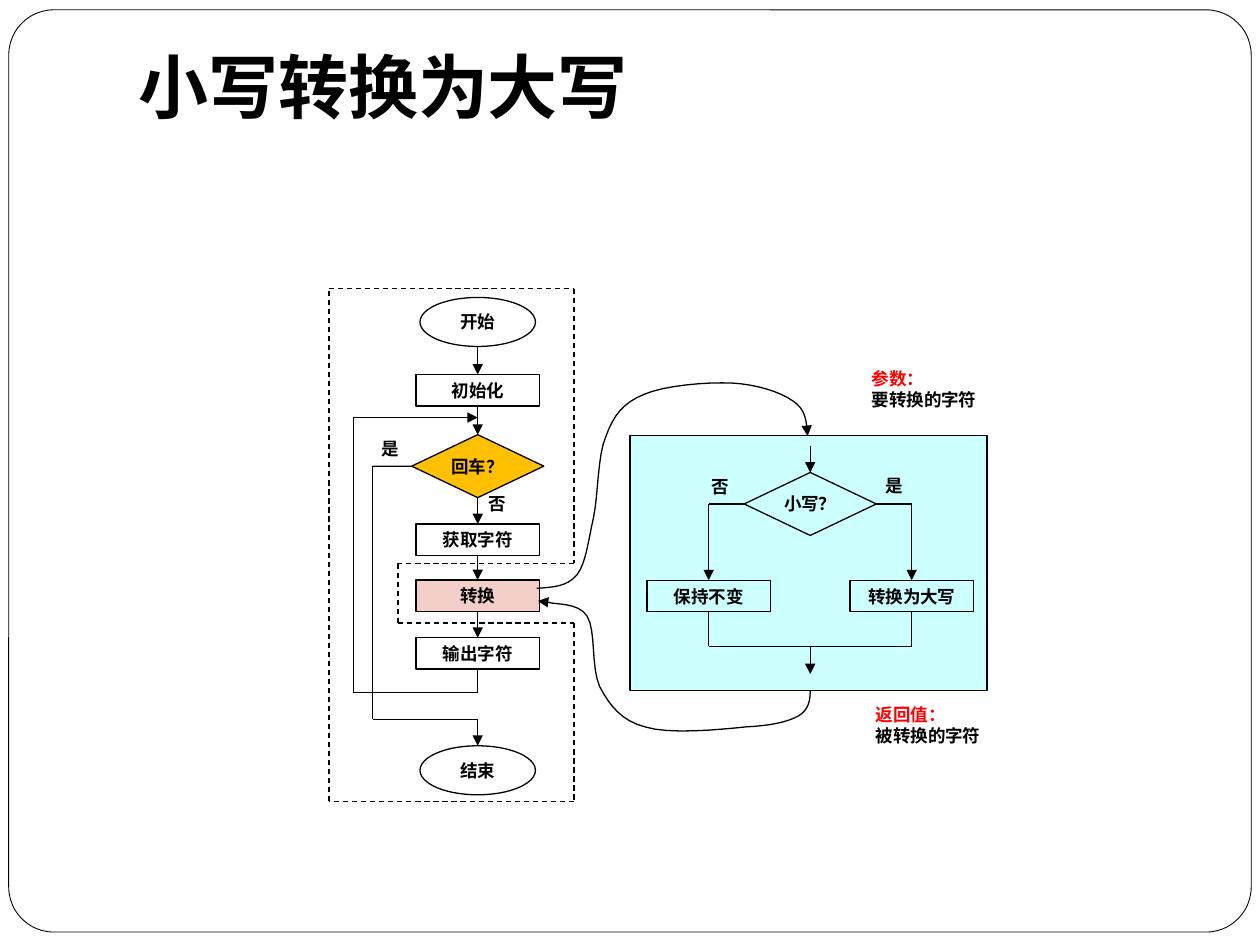
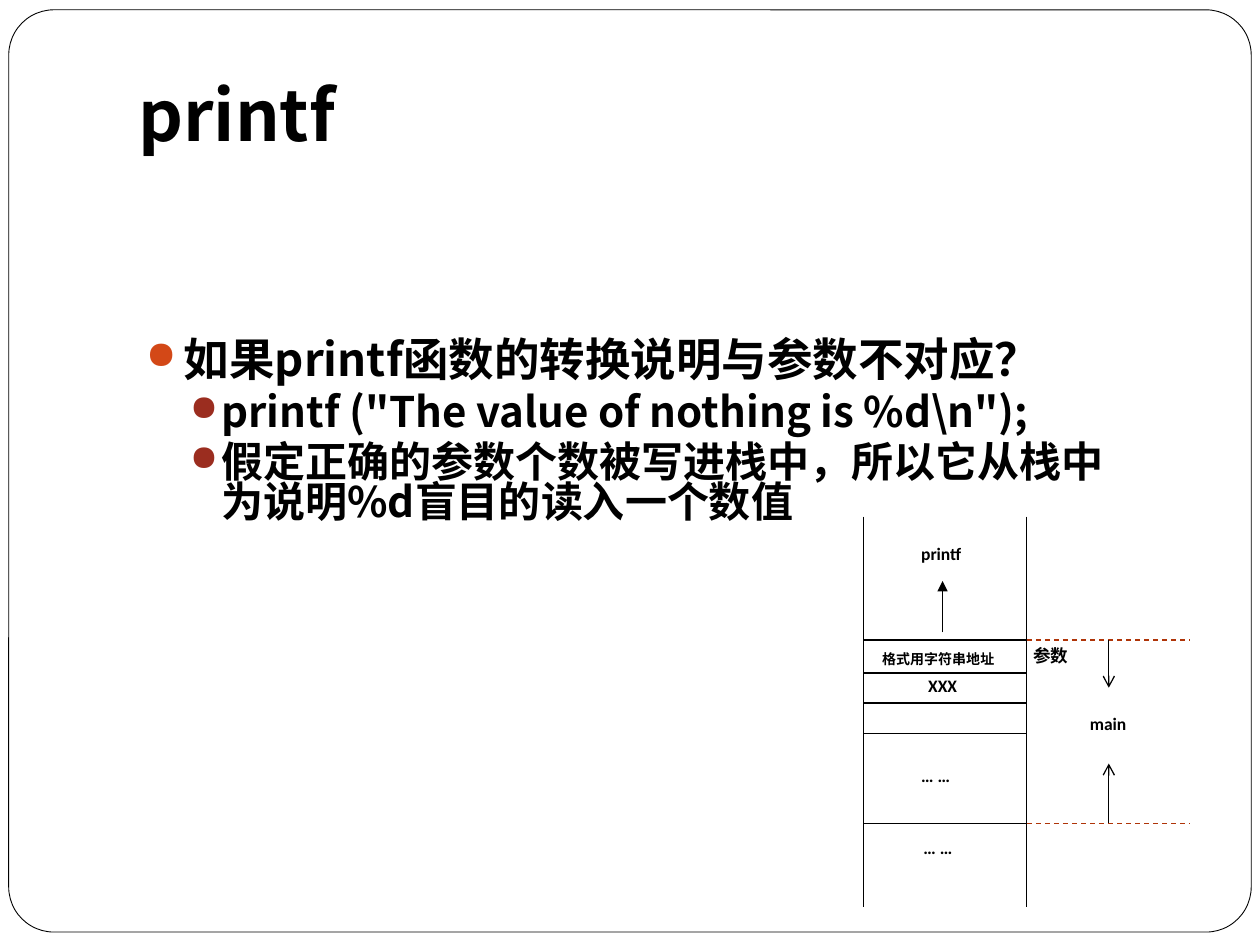
import pptx
import pptx.dml.color
import pptx.enum.dml
import pptx.enum.shapes
import pptx.enum.text
import pptx.oxml.ns
import pptx.util
from lxml import etree

Pt = pptx.util.Pt
RGBColor = pptx.dml.color.RGBColor
Preset = pptx.enum.shapes.MSO_SHAPE
Anchor = pptx.enum.text.MSO_ANCHOR
Align = pptx.enum.text.PP_ALIGN
qn = pptx.oxml.ns.qn

BLACK = RGBColor(0x00, 0x00, 0x00)
WHITE = RGBColor(0xFF, 0xFF, 0xFF)
RED = RGBColor(0xFF, 0x00, 0x00)
CYAN = RGBColor(0xCC, 0xFF, 0xFF)
AMBER = RGBColor(0xFF, 0xC0, 0x00)
PINK = RGBColor(0xF4, 0xCE, 0xC9)
RUST = RGBColor(0xAF, 0x34, 0x08)
ORANGE_BULLET = RGBColor(0xD3, 0x48, 0x17)
BROWN_BULLET = RGBColor(0x9B, 0x2D, 0x1F)

HEADING_FONT = "Noto Sans CJK SC"
LABEL_FONT = "Calibri"
LINE_WIDTH = 0.75
ELLIPSE_SIZE = (66, 28)
STEP_SIZE = (70.5, 18)
DECISION_SIZE = (75.5, 36)
TOP, LEFT, BOTTOM, RIGHT = range(4)

MAIN_X = 273
CALLEE_X = 463
KEEP_X = CALLEE_X - 58
UPPER_X = CALLEE_X + 58

CALL_CURVE = [
    (306.7, 336.2),
    (315.4, 335.5), (324, 335.5), (329.8, 328.3),
    (334.8, 321.8), (336.2, 308.9), (339.1, 295.9),
    (342, 282.2), (341.3, 260.6), (346.3, 249.1),
    (350.6, 237.6), (355.7, 230.4), (367.9, 225.4),
    (379.4, 220.3), (403.9, 218.2), (418.3, 218.9),
    (432, 219.6), (445.7, 223.9), (452.9, 229),
    (460.8, 234), (460.8, 241.2), (461.5, 249.1),
]
RETURN_CURVE = [
    (463, 394.6),
    (463, 400.3), (462.2, 405.4), (456.5, 409),
    (450, 412.6), (440.6, 414.7), (426.2, 415.4),
    (411.8, 416.9), (382.3, 419.8), (368.6, 415.4),
    (355, 411.8), (348.5, 403.2), (342.7, 392.4),
    (337.7, 381.6), (340.6, 360), (335.5, 352.1),
    (330.5, 344.2), (317.5, 345.6), (313.2, 344.2),
    (308.2, 342.7), (308.2, 343.4), (307.4, 343.4),
]


def add_span(para, text, size, font=LABEL_FONT, color=BLACK):
    span = para.add_run()
    span.text = text
    span.font.size = Pt(size)
    span.font.bold = True
    span.font.name = font
    span.font.color.rgb = color
    etree.SubElement(span.font._element, qn("a:ea"), typeface=font)


def set_insets(frame, horizontal, vertical):
    frame.margin_left = frame.margin_right = Pt(horizontal)
    frame.margin_top = frame.margin_bottom = Pt(vertical)


def add_text_box(page, left, top, width, height):
    box = page.shapes.add_textbox(Pt(left), Pt(top), Pt(width), Pt(height))
    box.text_frame.word_wrap = True
    return box.text_frame


def add_label(page, left, top, width, *lines, size=10, height=17):
    frame = add_text_box(page, left, top, width, height)
    set_insets(frame, 1.4, 0.7)
    for number, (text, color) in enumerate(lines):
        para = frame.add_paragraph() if number else frame.paragraphs[0]
        add_span(para, text, size, color=color)


def add_outline(page, preset, left, top, width, height, fill=None, line_width=LINE_WIDTH):
    shape = page.shapes.add_shape(preset, Pt(left), Pt(top), Pt(width), Pt(height))
    shape.shadow.inherit = False
    if fill is None:
        shape.fill.background()
    else:
        shape.fill.solid()
        shape.fill.fore_color.rgb = fill
    shape.line.color.rgb = BLACK
    shape.line.width = Pt(line_width)
    return shape


def add_node(page, preset, center, top, size, text, fill=None):
    width, height = size
    shape = add_outline(page, preset, center - width / 2, top, width, height, fill)
    frame = shape.text_frame
    set_insets(frame, 0, 0)
    frame.word_wrap = False
    frame.vertical_anchor = Anchor.MIDDLE
    frame.paragraphs[0].alignment = Align.CENTER
    add_span(frame.paragraphs[0], text, 10)
    return shape


def add_arrowhead(shape, kind):
    line = shape.element.find(qn("p:spPr")).find(qn("a:ln"))
    etree.SubElement(line, qn("a:tailEnd"), type=kind)


def locate(stop):
    place, site = stop
    if isinstance(place, (int, float)):
        return stop
    x = place.left.pt + place.width.pt * {LEFT: 0, RIGHT: 1}.get(site, 0.5)
    y = place.top.pt + place.height.pt * {TOP: 0, BOTTOM: 1}.get(site, 0.5)
    return x, y


def add_line(page, start, end, arrow=None, color=BLACK, dashed=False):
    ends = [Pt(value) for value in (*locate(start), *locate(end))]
    line = page.shapes.add_connector(pptx.enum.shapes.MSO_CONNECTOR.STRAIGHT, *ends)
    line.line.color.rgb = color
    line.line.width = Pt(LINE_WIDTH)
    if dashed:
        line.line.dash_style = pptx.enum.dml.MSO_LINE.DASH
    if arrow:
        add_arrowhead(line, arrow)
    etree.SubElement(line.element.find(qn("p:spPr")), qn("a:effectLst"))
    for stop, connect in ((start, line.begin_connect), (end, line.end_connect)):
        if not isinstance(stop[0], (int, float)):
            connect(*stop)


def add_route(page, *stops, arrow=None, dashed=False):
    last = len(stops) - 2
    for number, (start, end) in enumerate(zip(stops, stops[1:])):
        add_line(page, start, end, arrow if number == last else None, dashed=dashed)


def bezier_points(controls, steps=8):
    for first in range(0, len(controls) - 1, 3):
        corners = controls[first:first + 4]
        for step in range(1, steps + 1):
            t = step / steps
            weights = ((1 - t) ** 3, 3 * t * (1 - t) ** 2, 3 * t * t * (1 - t), t ** 3)
            yield tuple(
                Pt(sum(weight * corner[axis] for weight, corner in zip(weights, corners)))
                for axis in (0, 1)
            )


def add_curve(page, controls):
    start_x, start_y = controls[0]
    builder = page.shapes.build_freeform(Pt(start_x), Pt(start_y))
    builder.add_line_segments(list(bezier_points(controls)), close=False)
    curve = builder.convert_to_shape()
    curve.shadow.inherit = False
    curve.fill.background()
    curve.line.color.rgb = BLACK
    curve.line.width = Pt(LINE_WIDTH)
    add_arrowhead(curve, "triangle")


def add_page(deck, title, anchor):
    page = deck.slides.add_slide(deck.slide_layouts[6])
    frame = add_outline(page, Preset.ROUNDED_RECTANGLE, 5, 5.6, 710, 527, WHITE, 0.5)
    frame.adjustments[0] = 0.049
    heading = add_text_box(page, 72, 21.6, 612, 90)
    heading.vertical_anchor = anchor
    heading.margin_bottom = Pt(7.2)
    add_span(heading.paragraphs[0], title, 40, HEADING_FONT)
    return page


def add_bullet(para, text, size, margin, indent, color):
    properties = para._p.get_or_add_pPr()
    properties.set("marL", str(Pt(margin)))
    properties.set("indent", str(Pt(-indent)))
    bullet_color = etree.SubElement(properties, qn("a:buClr"))
    etree.SubElement(bullet_color, qn("a:srgbClr"), val=str(color))
    etree.SubElement(properties, qn("a:buSzPct"), val="85000")
    etree.SubElement(properties, qn("a:buChar"), char="●")
    para.line_spacing = 0.8
    add_span(para, text, size, HEADING_FONT)


def draw_main_flow(page):
    start = add_node(page, Preset.OVAL, MAIN_X, 170, ELLIPSE_SIZE, "开始")
    setup = add_node(page, Preset.RECTANGLE, MAIN_X, 214, STEP_SIZE, "初始化")
    is_return = add_node(page, Preset.FLOWCHART_DECISION, MAIN_X, 248.4,
                         DECISION_SIZE, "回车？", AMBER)
    read = add_node(page, Preset.RECTANGLE, MAIN_X, 299.5, STEP_SIZE, "获取字符")
    convert = add_node(page, Preset.RECTANGLE, MAIN_X, 331.4, STEP_SIZE, "转换", PINK)
    write = add_node(page, Preset.RECTANGLE, MAIN_X, 364.4, STEP_SIZE, "输出字符")
    finish = add_node(page, Preset.OVAL, MAIN_X, 426.2, ELLIPSE_SIZE, "结束")

    add_line(page, locate((start, BOTTOM)), (setup, TOP), "triangle")
    steps = [setup, is_return, read, convert, write]
    for above, below in zip(steps, steps[1:]):
        add_line(page, (above, BOTTOM), (below, TOP), "triangle")
    add_route(page, (is_return, LEFT), (213, 266.4), (213, 411), (MAIN_X, 411),
              (finish, TOP), arrow="triangle")
    add_route(page, (write, BOTTOM), (MAIN_X, 395.6), (202, 395.6), (202, 238.6),
              (MAIN_X, 238.6), arrow="triangle")
    add_route(page, (188, 165), (328, 165), (328, 322), (227.5, 322), (227.5, 356),
              (328, 356), (328, 458), (188, 458), (188, 165), dashed=True)
    add_label(page, 278, 280.8, 25, ("否", BLACK))
    add_label(page, 216.7, 249.8, 25, ("是", BLACK))


def draw_conversion(page):
    is_lower = add_node(page, Preset.FLOWCHART_DECISION, CALLEE_X, 270,
                        DECISION_SIZE, "小写？")
    keep = add_node(page, Preset.RECTANGLE, KEEP_X, 331.6, STEP_SIZE, "保持不变")
    upper = add_node(page, Preset.RECTANGLE, UPPER_X, 331.6, STEP_SIZE, "转换为大写")
    add_line(page, (CALLEE_X, 255), (is_lower, TOP), "triangle")
    for side, center, step in ((LEFT, KEEP_X, keep), (RIGHT, UPPER_X, upper)):
        add_route(page, (is_lower, side), (center, 288), (step, TOP), arrow="triangle")
    add_route(page, (keep, BOTTOM), (KEEP_X, 369.4), (UPPER_X, 369.4), (upper, BOTTOM))
    add_line(page, (CALLEE_X, 369.4), (CALLEE_X, 385.2), "triangle")
    add_label(page, 405.4, 271.4, 25, ("否", BLACK))
    add_label(page, 504.7, 270.7, 25, ("是", BLACK))
    add_label(page, 496.8, 209.5, 68.4, ("参数：", RED), ("要转换的字符", BLACK), height=34)
    add_label(page, 499, 401.8, 68.4, ("返回值：", RED), ("被转换的字符", BLACK), height=34)


def draw_stack(page):
    left, right, argument_top, frame_bottom = 493.5, 586.8, 365.8, 470.4
    for x in (left, right):
        add_line(page, (x, 295.2), (x, 518.4))
    for y in (argument_top, 384.5, 401.8, 419, frame_bottom):
        add_line(page, (left, y), (right, y))
    for y in (argument_top, frame_bottom):
        add_line(page, (right, y), (679.7, y), color=RUST, dashed=True)
    add_line(page, (538.6, 361.4), (538.6, 332), "triangle")
    add_line(page, (633.6, argument_top), (633.6, 393), "arrow")
    add_line(page, (633.6, frame_bottom), (633.6, 436.3), "arrow")
    add_label(page, 502.6, 370.8, 73, ("格式用字符串地址", BLACK), size=8)
    for x, y, text in (
        (525, 309.6, "printf"),
        (529, 385.2, "XXX"),
        (525, 436.3, "… …"),
        (526.3, 477.4, "… …"),
        (589, 368, "参数"),
        (621.4, 406.8, "main"),
    ):
        add_label(page, x, y, 34.6, (text, BLACK))


def main():
    deck = pptx.Presentation()
    deck.slide_width = Pt(720)
    deck.slide_height = Pt(540)

    page = add_page(deck, "小写转换为大写", Anchor.TOP)
    add_outline(page, Preset.RECTANGLE, 360, 249, 204, 145.6, CYAN)
    draw_main_flow(page)
    draw_conversion(page)
    add_curve(page, CALL_CURVE)
    add_curve(page, RETURN_CURVE)

    page = add_page(deck, "printf", Anchor.MIDDLE)
    body = add_text_box(page, 76.3, 191.5, 566.6, 306)
    add_bullet(body.paragraphs[0], "如果printf函数的转换说明与参数不对应？", 26,
               21.6, 21.6, ORANGE_BULLET)
    for text in (
        "printf (\"The value of nothing is %d\\n\");",
        "假定正确的参数个数被写进栈中，所以它从栈中为说明%d盲目的读入一个数值",
    ):
        para = body.add_paragraph()
        para.level = 1
        add_bullet(para, text, 24, 43.2, 18, BROWN_BULLET)
        para.space_before = Pt(5.6)
    draw_stack(page)

    deck.save("out.pptx")


if __name__ == "__main__":
    main()
